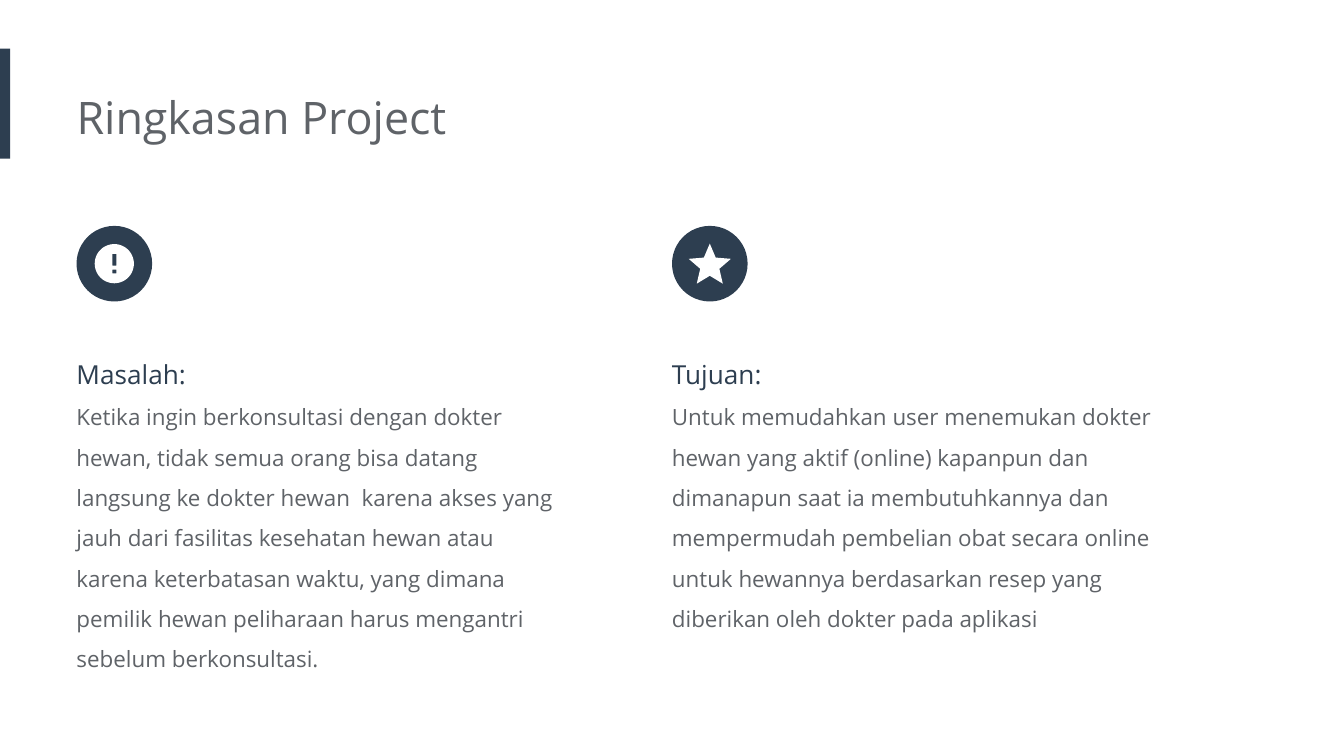
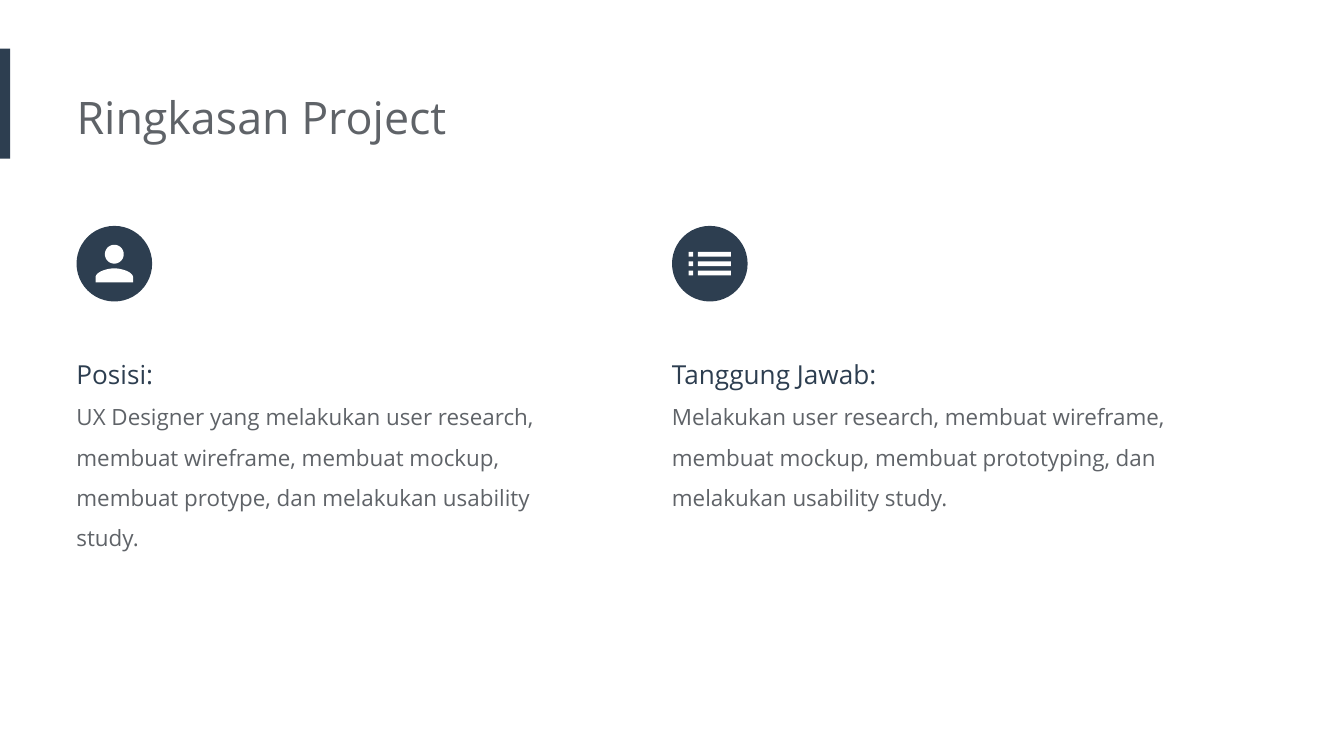
from dataclasses import dataclass
from math import cos, pi, sin

from pptx import Presentation
from pptx.dml.color import RGBColor as RGB
from pptx.enum.shapes import MSO_SHAPE as Preset
from pptx.enum.text import MSO_ANCHOR as Anchor, MSO_AUTO_SIZE as AutoSize, PP_ALIGN as Align
from pptx.util import Pt


@dataclass(frozen=True)
class Theme:
    navy: RGB = RGB(0x2D, 0x3E, 0x50)
    grey: RGB = RGB(0x5F, 0x63, 0x68)
    white: RGB = RGB(0xFF, 0xFF, 0xFF)
    font: str = "Open Sans"
    title_size: int = 24
    heading_size: int = 14
    body_size: int = 12


THEME = Theme()

# Layout, in points
COLUMNS = (41, 360)
COLUMN_WIDTH = 271.5
BADGE_TOP, BADGE_SIZE = 121, 40.5
TEXT_TOP = 176.5
INSET = 7.2


# Icon outlines, drawn on a 24-unit grid
def box(left, top, right, bottom):
    return [(left, top), (right, top), (right, bottom), (left, bottom)]


def circle(x, y, radius, steps=60):
    angles = [2 * pi * step / steps for step in range(steps)]
    return [(x + radius * cos(a), y + radius * sin(a)) for a in angles]


def curve(p0, p1, p2, p3, steps=20):
    """Points along a cubic Bezier curve."""
    def at(t):
        weights = ((1 - t) ** 3, 3 * t * (1 - t) ** 2, 3 * t * t * (1 - t), t ** 3)
        return tuple(sum(w * p[axis] for w, p in zip(weights, (p0, p1, p2, p3)))
                     for axis in (0, 1))
    return [at(step / steps) for step in range(steps + 1)]


def shoulders():
    right = curve((12, 14), (14.67, 14), (20, 15.34), (20, 18))
    left = [(24 - x, y) for x, y in reversed(right)]
    return right + [(20, 20), (4, 20)] + left


def list_rows():
    return [box(left, top, right, top + 2)
            for top in (7, 11, 15) for left, right in ((3, 5), (7, 21))]


STAR = [(12, 17.27), (18.18, 21), (16.54, 13.97), (22, 9.24), (14.81, 8.63),
        (12, 2), (9.19, 8.63), (2, 9.24), (7.46, 13.97), (5.82, 21)]

# Each icon: points per grid unit, then its contours
ICONS = {
    "alert": (1.05, [circle(12, 12, 10), box(11, 7, 13, 13), box(11, 15, 13, 17)]),
    "star": (1.13, [STAR]),
    "person": (1.26, [circle(12, 8, 4), shoulders()]),
    "list": (1.26, list_rows()),
}


def paint(shape, color):
    shape.shadow.inherit = False
    shape.fill.solid()
    shape.fill.fore_color.rgb = color
    shape.line.fill.background()


def add_solid(slide, preset, left, top, width, height):
    solid = slide.shapes.add_shape(preset, Pt(left), Pt(top), Pt(width), Pt(height))
    paint(solid, THEME.navy)


def add_icon(slide, icon, center_x, center_y):
    """Draw an icon with its outline centred on the given point."""
    scale, contours = ICONS[icon]
    xs, ys = zip(*(point for contour in contours for point in contour))
    mid_x, mid_y = (min(xs) + max(xs)) / 2, (min(ys) + max(ys)) / 2
    placed = [[(Pt(center_x + scale * (x - mid_x)), Pt(center_y + scale * (y - mid_y)))
               for x, y in contour] for contour in contours]
    builder = slide.shapes.build_freeform(*placed[0][0])
    for index, contour in enumerate(placed):
        if index:
            builder.move_to(*contour[0])
        builder.add_line_segments(contour[1:], close=True)
    paint(builder.convert_to_shape(), THEME.white)


def set_frame(frame):
    frame.word_wrap = True
    frame.auto_size = AutoSize.SHAPE_TO_FIT_TEXT
    frame.vertical_anchor = Anchor.TOP
    frame.margin_left = 0
    frame.margin_top = frame.margin_right = frame.margin_bottom = Pt(INSET)


def style(paragraph, size, color, spacing):
    paragraph.alignment = Align.LEFT
    paragraph.line_spacing = spacing
    for run in paragraph.runs:
        run.font.name = THEME.font
        run.font.size = Pt(size)
        run.font.color.rgb = color


def add_title(slide, text):
    title = slide.shapes.title
    title.left, title.top, title.width, title.height = Pt(41), Pt(41), Pt(484.5), Pt(44)
    set_frame(title.text_frame)
    title.text_frame.text = text
    style(title.text_frame.paragraphs[0], THEME.title_size, THEME.grey, 1.0)


def add_section(slide, left, icon, heading, body, height):
    """A round badge with its icon, above a heading and body text."""
    add_solid(slide, Preset.OVAL, left, BADGE_TOP, BADGE_SIZE, BADGE_SIZE)
    add_icon(slide, icon, left + BADGE_SIZE / 2, BADGE_TOP + BADGE_SIZE / 2)
    section = slide.shapes.add_textbox(Pt(left), Pt(TEXT_TOP), Pt(COLUMN_WIDTH), Pt(height))
    frame = section.text_frame
    set_frame(frame)
    frame.text = heading
    style(frame.paragraphs[0], THEME.heading_size, THEME.navy, 1.5)
    description = frame.add_paragraph()
    description.text = body
    style(description, THEME.body_size, THEME.grey, 1.5)


def add_summary(deck, sections):
    slide = deck.slides.add_slide(deck.slide_layouts[5])
    add_solid(slide, Preset.RECTANGLE, 0, 26, 5.5, 59)
    add_title(slide, "Ringkasan Project")
    for left, section in zip(COLUMNS, sections):
        add_section(slide, left, *section)


def main():
    deck = Presentation()
    deck.slide_width, deck.slide_height = Pt(720), Pt(405)

    # Problem and goal
    add_summary(deck, [
        ("alert", "Masalah:",
         "Ketika ingin berkonsultasi dengan dokter hewan, tidak semua orang bisa datang "
         "langsung ke dokter hewan  karena akses yang jauh dari fasilitas kesehatan hewan "
         "atau karena keterbatasan waktu, yang dimana pemilik hewan peliharaan harus "
         "mengantri sebelum berkonsultasi.", 193),
        ("star", "Tujuan:",
         "Untuk memudahkan user menemukan dokter hewan yang aktif (online) kapanpun dan "
         "dimanapun saat ia membutuhkannya dan mempermudah pembelian obat secara online "
         "untuk hewannya berdasarkan resep yang diberikan oleh dokter pada aplikasi", 170.5),
    ])

    # Role and responsibilities
    add_summary(deck, [
        ("person", "Posisi:",
         "UX Designer yang melakukan user research, membuat wireframe, membuat mockup, "
         "membuat protype, dan melakukan usability study.", 127.5),
        ("list", "Tanggung Jawab:",
         "Melakukan user research, membuat wireframe, membuat mockup, membuat "
         "prototyping, dan melakukan usability study.", 105),
    ])

    deck.save("out.pptx")


if __name__ == "__main__":
    main()
